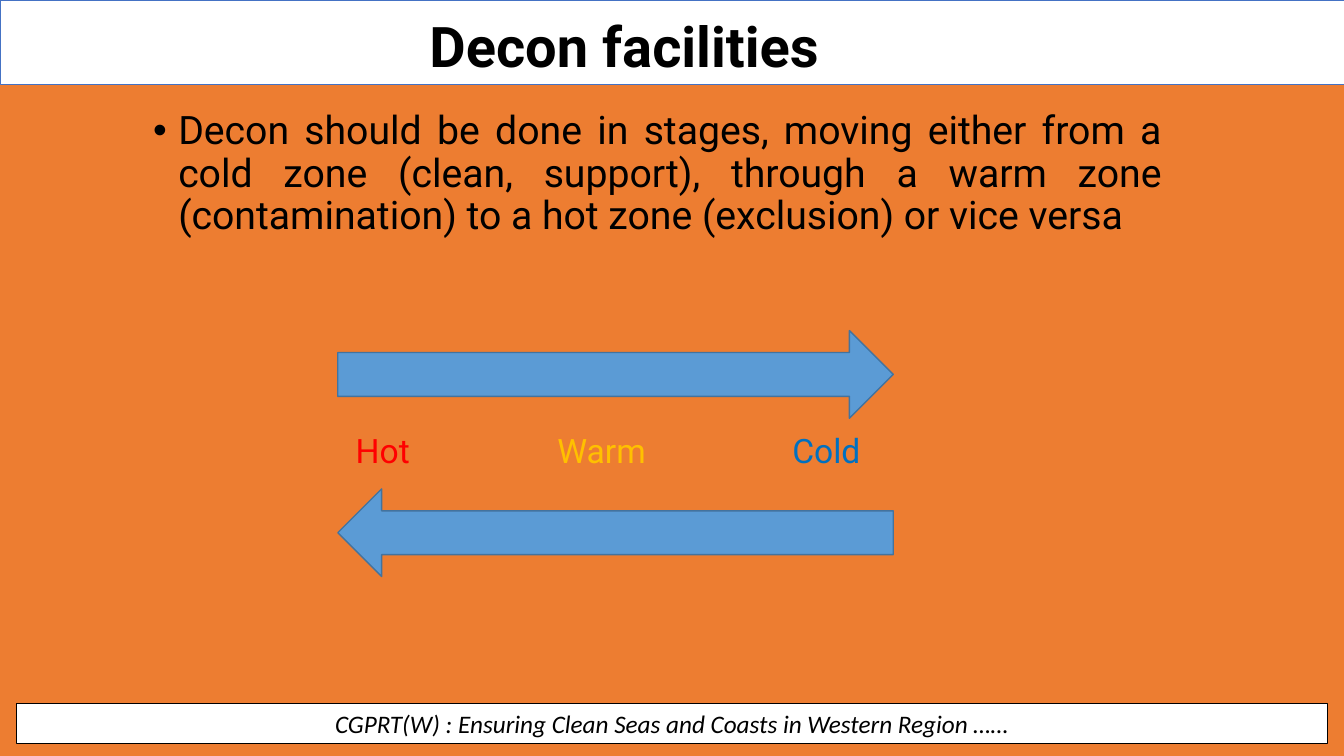
import pptx
import pptx.util
import pptx.dml.color
import pptx.enum.shapes
import pptx.enum.text
import pptx.oxml.ns
import lxml.etree

Inches = pptx.util.Inches
Pt = pptx.util.Pt
RGBColor = pptx.dml.color.RGBColor
Shape = pptx.enum.shapes.MSO_SHAPE
Align = pptx.enum.text.PP_ALIGN
Anchor = pptx.enum.text.MSO_ANCHOR
qn = pptx.oxml.ns.qn

ORANGE = RGBColor(0xED, 0x7D, 0x31)
WHITE = RGBColor(0xFF, 0xFF, 0xFF)
BLACK = RGBColor(0x00, 0x00, 0x00)
BAND_BLUE = RGBColor(0x44, 0x72, 0xC4)
ARROW_BLUE = RGBColor(0x5B, 0x9B, 0xD5)
ARROW_EDGE = RGBColor(0x43, 0x73, 0x9E)
HOT_RED = RGBColor(0xFF, 0x00, 0x00)
WARM_YELLOW = RGBColor(0xFF, 0xC0, 0x00)
COLD_BLUE = RGBColor(0x00, 0x70, 0xC0)


def add_bullet(paragraph, indent):
    properties = paragraph._p.get_or_add_pPr()
    properties.set("marL", str(indent))
    properties.set("indent", str(-indent))
    font = lxml.etree.SubElement(properties, qn("a:buFont"))
    font.set("typeface", "Arial")
    lxml.etree.SubElement(properties, qn("a:buChar")).set("char", "•")


def add_tabs(paragraph, stops):
    tabs = lxml.etree.SubElement(paragraph._p.get_or_add_pPr(), qn("a:tabLst"))
    for stop in stops:
        tab = lxml.etree.SubElement(tabs, qn("a:tab"))
        tab.set("pos", str(stop))
        tab.set("algn", "l")


def write_text(holder, pieces, size, font="Roboto", align=Align.LEFT, anchor=Anchor.TOP,
               bold=False, italic=False, spacing=1.0, bullet_indent=None, tab_stops=()):
    frame = holder.text_frame
    frame.word_wrap = True
    frame.auto_size = pptx.enum.text.MSO_AUTO_SIZE.NONE
    frame.vertical_anchor = anchor
    paragraph = frame.paragraphs[0]
    if bullet_indent:
        add_bullet(paragraph, bullet_indent)
    if tab_stops:
        add_tabs(paragraph, tab_stops)
    paragraph.alignment = align
    paragraph.line_spacing = spacing
    paragraph.space_before = Pt(0)
    for text, color in pieces:
        run = paragraph.add_run()
        run.text = text
        run.font.name = font
        run.font.size = Pt(size)
        run.font.bold = bold
        run.font.italic = italic
        run.font.color.rgb = color


def add_filled(slide, kind, left, top, width, height, fill, edge, edge_width):
    shape = slide.shapes.add_shape(kind, Inches(left), Inches(top), Inches(width), Inches(height))
    shape.shadow.inherit = False
    shape.fill.solid()
    shape.fill.fore_color.rgb = fill
    shape.line.color.rgb = edge
    shape.line.width = Pt(edge_width)
    return shape


def add_text(slide, left, top, width, height, pieces, size, **text_format):
    box = slide.shapes.add_textbox(Inches(left), Inches(top), Inches(width), Inches(height))
    write_text(box, pieces, size, **text_format)


def add_title(slide, text):
    band = add_filled(slide, Shape.RECTANGLE, 0, 0, 13.33, 0.84, WHITE, BAND_BLUE, 0.5)
    title = slide.shapes.title
    title._element.addprevious(band._element)
    title.left, title.top = Inches(1.69), Inches(0.14)
    title.width, title.height = Inches(9), Inches(0.61)
    write_text(title, [(text, BLACK)], 40, bold=True, align=Align.CENTER, spacing=0.9)


def add_zone_arrow(slide, top, rotation):
    arrow = add_filled(slide, Shape.RIGHT_ARROW, 3.35, top, 5.51, 0.87,
                       ARROW_BLUE, ARROW_EDGE, 1)
    arrow.rotation = rotation


def main():
    deck = pptx.Presentation()
    deck.slide_width, deck.slide_height = Inches(13.33), Inches(7.5)
    slide = deck.slides.add_slide(deck.slide_layouts[5])
    slide.background.fill.solid()
    slide.background.fill.fore_color.rgb = ORANGE

    add_title(slide, "Decon facilities")
    footer = add_filled(slide, Shape.RECTANGLE, 0.16, 6.98, 13.01, 0.4, WHITE, BLACK, 0.75)
    write_text(footer,
               [("CGPRT(W) : Ensuring Clean Seas and Coasts in Western Region ……", BLACK)],
               18, font="Calibri", italic=True, align=Align.CENTER, anchor=Anchor.MIDDLE)
    add_text(slide, 1.42, 1.05, 10.2, 5.71,
             [("Decon should be done in stages, moving either from a cold zone "
               "(clean, support), through a warm zone (contamination) to a hot zone "
               "(exclusion) or vice versa", BLACK)],
             28, align=Align.JUSTIFY, spacing=0.9, bullet_indent=Inches(0.25))

    for top, rotation in ((3.28, 0), (4.85, 180)):
        add_zone_arrow(slide, top, rotation)
    add_text(slide, 3.43, 4.22, 5.28, 0.51,
             [("Hot\t", HOT_RED), ("Warm\t", WARM_YELLOW), ("Cold", COLD_BLUE)],
             24, tab_stops=(Inches(2), Inches(4.33)))

    deck.save("out.pptx")


if __name__ == "__main__":
    main()
